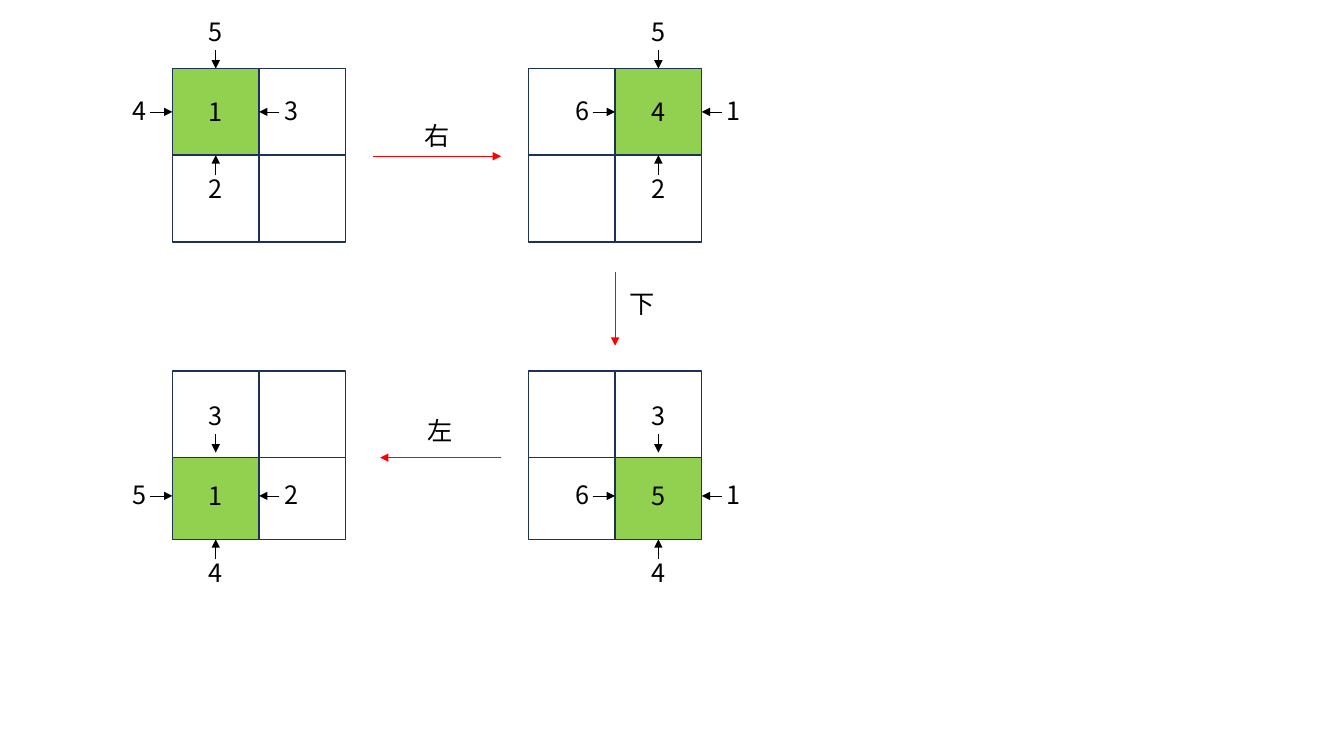
from pptx import Presentation
from pptx.dml.color import RGBColor
from pptx.enum import shapes as sh, text as tx
from pptx.oxml.ns import qn
from pptx.util import Inches, Pt
from lxml import etree

FONT = "Noto Sans CJK SC"
GREEN = RGBColor(0x92, 0xD0, 0x50)
NAVY = RGBColor(0x1E, 0x32, 0x56)
WHITE = RGBColor(0xFF, 0xFF, 0xFF)
BLACK = RGBColor(0, 0, 0)
RED = RGBColor(0xFF, 0, 0)
SIDE = 0.86  # edge of a cell


def write(frame, words, size=18, color=BLACK, align=None):
    para = frame.paragraphs[0]
    para.alignment = align
    run = para.add_run()
    run.text = words
    run.font.size = Pt(size)
    run.font.name = FONT
    run.font.color.rgb = color
    east = etree.SubElement(run._r.get_or_add_rPr(), qn("a:ea"))
    east.set("typeface", FONT)


def label(slide, words, x, y, wide=0.34):
    box = slide.shapes.add_textbox(Inches(x), Inches(y), Inches(wide), Inches(0.4))
    box.text_frame.word_wrap = False
    box.text_frame.auto_size = tx.MSO_AUTO_SIZE.SHAPE_TO_FIT_TEXT
    write(box.text_frame, words)


def arrow(slide, start, end, color=BLACK):
    ends = [Inches(v) for v in (*start, *end)]
    line = slide.shapes.add_connector(sh.MSO_CONNECTOR.STRAIGHT, *ends)
    line.line.color.rgb = color
    line.line.width = Pt(0.5)
    head = etree.SubElement(line.line._get_or_add_ln(), qn("a:tailEnd"))
    head.set("type", "triangle")
    etree.SubElement(line._element.spPr, qn("a:effectLst"))
    return line


def cell(slide, x, y, fill, words=""):
    box = slide.shapes.add_shape(sh.MSO_SHAPE.RECTANGLE, Inches(x), Inches(y),
                                 Inches(SIDE), Inches(SIDE))
    box.shadow.inherit = False
    box.fill.solid()
    box.fill.fore_color.rgb = fill
    box.line.color.rgb = NAVY
    box.line.width = Pt(1)
    if words:
        box.text_frame.vertical_anchor = tx.MSO_ANCHOR.MIDDLE
        write(box.text_frame, words, align=tx.PP_ALIGN.CENTER)
    return box


def grid(slide, x, y, pitch, col, row, face, around):
    """Two by two cells; the green one shows its face and its neighbours.

    around holds the numbers at top, left, bottom and right.
    """
    left, top = x + col * SIDE, y + row * pitch
    die = cell(slide, left, top, GREEN, face)
    for r in (1, 0):
        for c in (0, 1):
            if (c, r) != (col, row):
                cell(slide, x + c * SIDE, y + r * pitch, WHITE)

    right, low = left + SIDE, top + SIDE
    midx, midy = left + SIDE / 2, top + SIDE / 2
    # arrow start, arrow end, label corner; in the order of connection sites
    sides = [
        ((midx, top - 0.18), (midx, top), (midx - 0.17, top - 0.57)),
        ((left - 0.22, midy), (left, midy), (left - 0.49, top + 0.22)),
        ((midx, low + 0.2), (midx, low), (midx - 0.17, low + 0.13)),
        ((right + 0.2, midy), (right, midy), (right + 0.15, top + 0.22)),
    ]
    for site, (number, (start, end, spot)) in enumerate(zip(around, sides)):
        line = arrow(slide, start, end)
        if site != 0 or row == 0:  # lower cells are overlapped at the top
            line.end_connect(die, site)
        label(slide, number, *spot)


def move(slide, word, start, end, spot):
    """Red arrow from one grid to the next, with its direction."""
    arrow(slide, start, end, RED)
    label(slide, word, *spot, wide=0.45)


def main():
    deck = Presentation()
    deck.slide_width, deck.slide_height = Inches(13.33), Inches(7.5)
    slide = deck.slides.add_slide(deck.slide_layouts[6])
    west, east, north, south = 1.71, 5.24, 0.68, 3.68
    tall, short = 0.86, 0.81

    grid(slide, west, north, tall, 0, 0, "1", "5423")
    move(slide, "右", (3.7, 1.55), (4.97, 1.55), (4.11, 1.14))
    grid(slide, east, north, tall, 1, 0, "4", "5621")
    move(slide, "下", (6.1, 2.7), (6.1, 3.43), (6.14, 2.81))
    grid(slide, east, south, short, 1, 1, "5", "3641")
    move(slide, "左", (4.97, 4.54), (3.77, 4.54), (4.14, 4.07))
    grid(slide, west, south, short, 0, 1, "1", "3542")
    deck.save("out.pptx")


if __name__ == "__main__":
    main()
